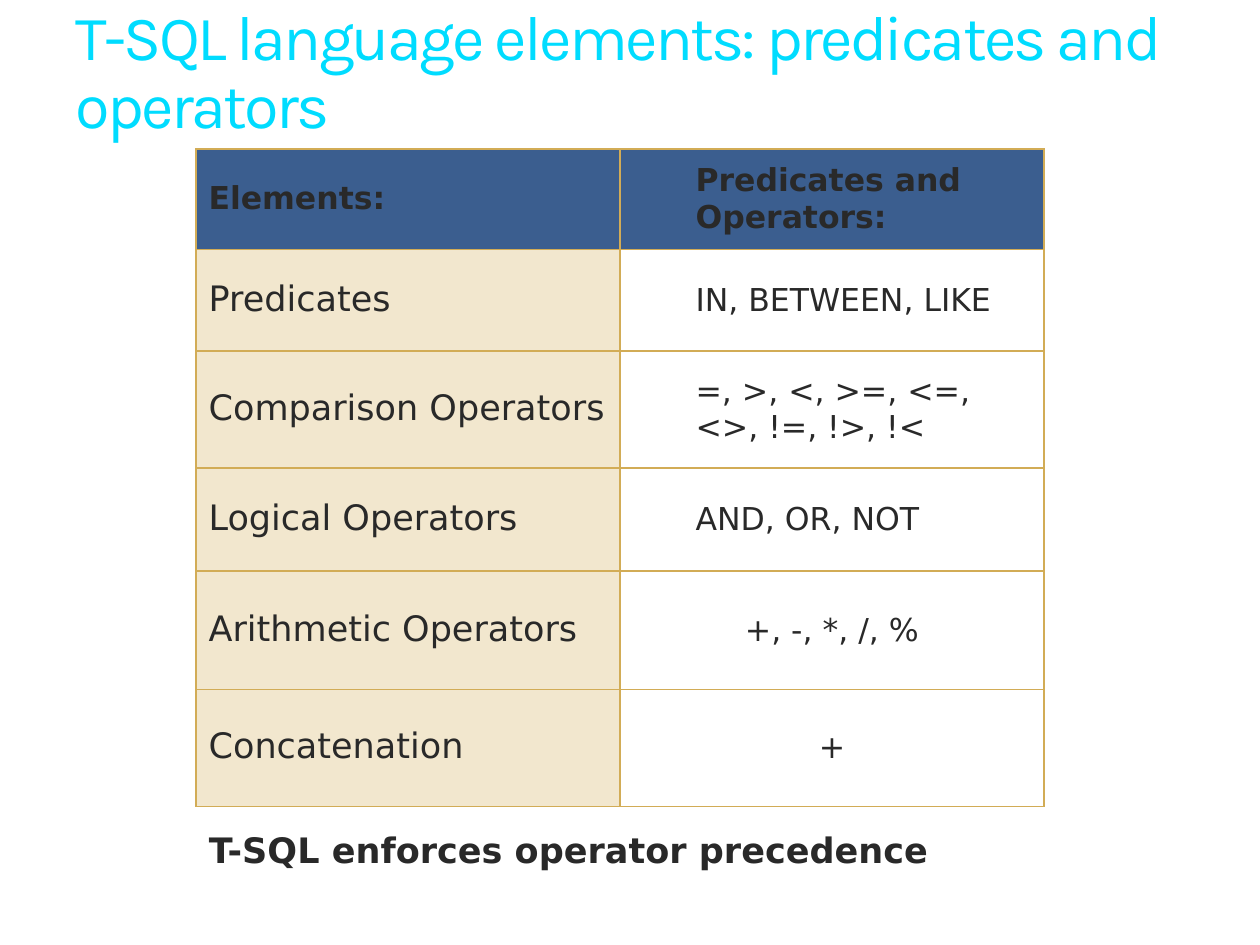
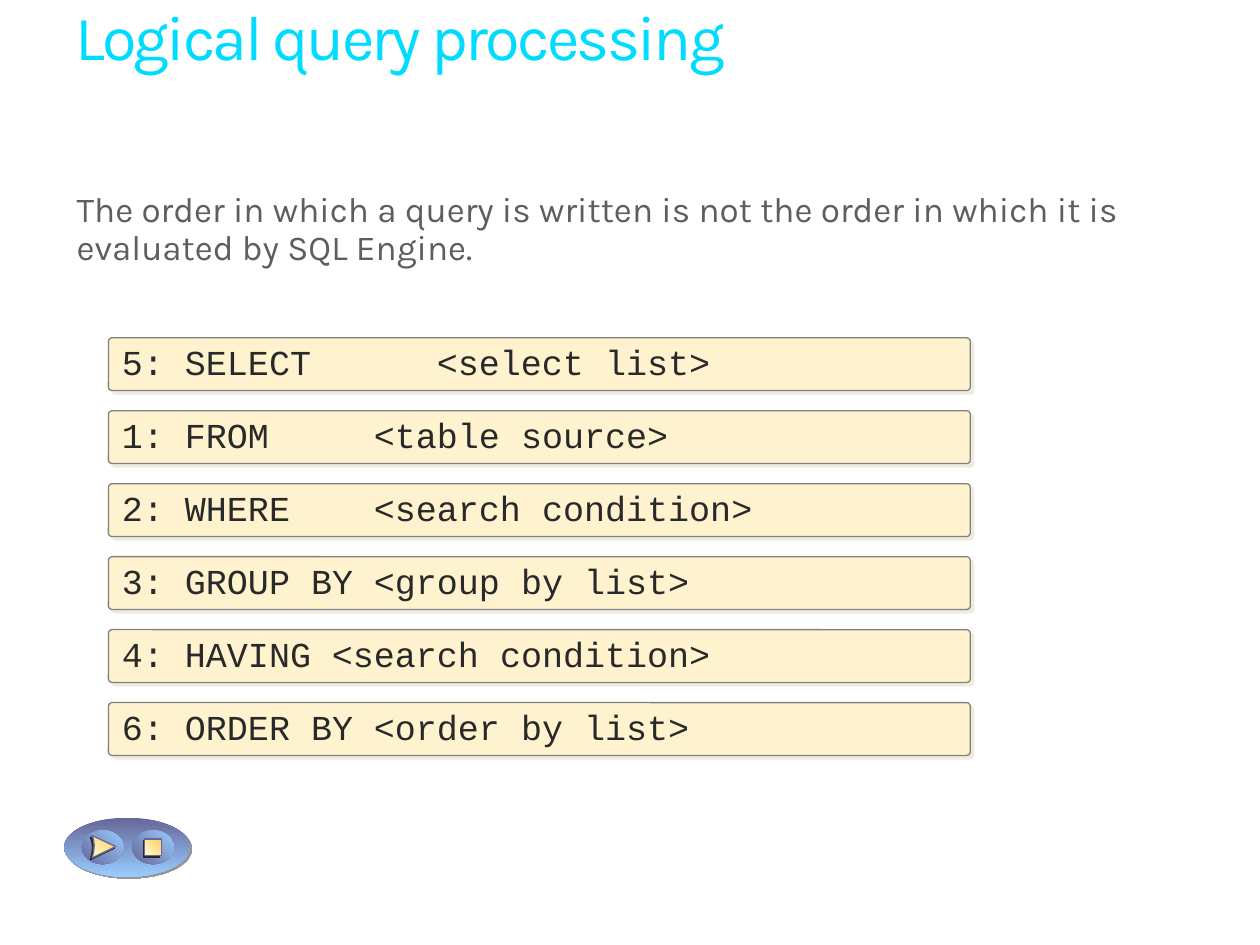
from lxml import etree
from pptx import Presentation
from pptx.dml.color import RGBColor
from pptx.enum.shapes import MSO_SHAPE
from pptx.enum.text import MSO_ANCHOR, PP_ALIGN
from pptx.oxml.ns import qn
from pptx.util import Pt

OVAL, RECT, ROUND = MSO_SHAPE.OVAL, MSO_SHAPE.RECTANGLE, MSO_SHAPE.ROUNDED_RECTANGLE
TOP, MIDDLE = MSO_ANCHOR.TOP, MSO_ANCHOR.MIDDLE
LEFT, CENTER = PP_ALIGN.LEFT, PP_ALIGN.CENTER

CYAN = RGBColor(0x00, 0xDC, 0xFF)
INK = RGBColor(0x29, 0x29, 0x29)
GREY = RGBColor(0x5E, 0x5E, 0x5E)
WHITE = RGBColor(0xFF, 0xFF, 0xFF)
NAVY = RGBColor(0x3B, 0x5E, 0x8F)
SAND = RGBColor(0xF2, 0xE7, 0xCE)
GOLD = RGBColor(0xD2, 0xAC, 0x56)
CREAM = RGBColor(0xFF, 0xF3, 0xCF)
EDGE = RGBColor(0x80, 0x80, 0x80)
HAZE = RGBColor(0xEE, 0xEC, 0xE1)
SHADE = RGBColor(0x96, 0x96, 0x96)
DUSK = RGBColor(0x66, 0x66, 0x99)
SKY = RGBColor(0x99, 0xCC, 0xFF)
PALE = RGBColor(0xFF, 0xFF, 0xCC)
AMBER = RGBColor(0xFF, 0xCC, 0x66)

HEAD, SANS, CODE = "Karla", "DejaVu Sans", "Courier New"


def add_color(node, color):
    fill = etree.SubElement(node, qn("a:solidFill"))
    etree.SubElement(fill, qn("a:srgbClr"), val=str(color))


def curve(a, b, c, d, steps=8):
    for i in range(1, steps + 1):
        t = i / steps
        u = 1 - t
        yield tuple(Pt(u**3 * p + 3 * u * u * t * q + 3 * u * t * t * r + t**3 * s)
                    for p, q, r, s in zip(a, b, c, d))


class Deck:
    def __init__(self):
        self.show = Presentation()
        self.show.slide_width = Pt(720)
        self.show.slide_height = Pt(540)
        self.slide = None

    def start(self, title, width, height):
        self.slide = self.show.slides.add_slide(self.show.slide_layouts[6])
        run = self.text(title, (36, 0, width, height), HEAD, 36, CYAN, space=0.9)
        run.font._element.set("spc", "-150")

    def add_run(self, frame, words, font, size, color, bold=False,
                space=1.0, align=LEFT):
        frame.word_wrap = True
        par = frame.paragraphs[0]
        par.alignment = align
        par.line_spacing = space
        run = par.add_run()
        run.text = words
        run.font.name = font
        run.font.size = Pt(size)
        run.font.bold = bold
        run.font.color.rgb = color
        return run

    def text(self, words, box, *style, **more):
        shape = self.slide.shapes.add_textbox(*map(Pt, box))
        shape.text_frame.vertical_anchor = TOP
        return self.add_run(shape.text_frame, words, *style, **more)

    def paint(self, shape, fill, line=None, shade=None):
        shape.shadow.inherit = False
        if isinstance(fill, tuple) and not isinstance(fill, RGBColor):
            first, last, angle = fill
            shape.fill.gradient()
            shape.fill.gradient_angle = angle
            for stop, color in zip(shape.fill.gradient_stops, (first, last)):
                stop.color.rgb = color
        else:
            shape.fill.solid()
            shape.fill.fore_color.rgb = fill
        if line is None:
            shape.line.fill.background()
        else:
            shape.line.color.rgb = line
            shape.line.width = Pt(0.75)
        if shade:
            color, dist, angle = shade
            root = shape.element.spPr.find(qn("a:effectLst"))
            drop = etree.SubElement(root, qn("a:outerShdw"), dist=str(Pt(dist)),
                                    dir=str(angle * 60000), algn="ctr", rotWithShape="0")
            etree.SubElement(drop, qn("a:srgbClr"), val=str(color))

    def shape(self, kind, box, fill, line=None, shade=None):
        shape = self.slide.shapes.add_shape(kind, *map(Pt, box))
        self.paint(shape, fill, line, shade)
        return shape

    def bar(self, step, target, tab, box):
        shape = self.shape(ROUND, box, CREAM, EDGE, (HAZE, 2.8, 45))
        shape.adjustments[0] = 0.07
        frame = shape.text_frame
        frame.vertical_anchor = MIDDLE
        self.add_run(frame, f"{step}\t{target}", CODE, 20, INK, space=0.9)
        props = frame.paragraphs[0]._p.get_or_add_pPr()
        tabs = etree.SubElement(props, qn("a:tabLst"))
        etree.SubElement(tabs, qn("a:tab"), pos=str(Pt(tab)), algn="l")

    def outline(self, start, points, fill, line, shade):
        form = self.slide.shapes.build_freeform(*map(Pt, start))
        form.add_line_segments(points, close=True)
        self.paint(form.convert_to_shape(), fill, line, shade)

    def cell(self, cell, words, fill, size, **more):
        cell.vertical_anchor = MIDDLE
        cell.margin_left = cell.margin_right = Pt(7.2)
        cell.margin_top = cell.margin_bottom = Pt(7.2)
        props = cell._tc.get_or_add_tcPr()
        for side in ("lnL", "lnR", "lnT", "lnB"):
            add_color(etree.SubElement(props, qn(f"a:{side}"), w=str(Pt(1))), GOLD)
        cell.fill.solid()
        cell.fill.fore_color.rgb = fill
        self.add_run(cell.text_frame, words, SANS, size, INK, **more)

    def table(self, rows, box, heights):
        table = self.slide.shapes.add_table(len(rows), 2, *map(Pt, box)).table
        table.horz_banding = False
        for col in table.columns:
            col.width = Pt(box[2] / 2)
        for i, (name, value, align) in enumerate(rows):
            table.rows[i].height = Pt(heights[i])
            top = i == 0
            self.cell(table.cell(i, 0), name, NAVY if top else SAND,
                      18 if top else 20, bold=top, space=0.9)
            right = table.cell(i, 1)
            self.cell(right, value, NAVY if top else WHITE, 18, bold=top, align=align)
            if align == LEFT:
                props = right.text_frame.paragraphs[0]._p.get_or_add_pPr()
                props.set("marL", str(Pt(36)))
                props.set("indent", "0")


def operators(deck):
    deck.start("T-SQL language elements: predicates and operators", 672, 77)
    rows = [
        ("Elements:", "Predicates and Operators:", LEFT),
        ("Predicates", "IN, BETWEEN, LIKE", LEFT),
        ("Comparison Operators", "=, >, <, >=, <=, <>, !=, !>, !<", LEFT),
        ("Logical Operators", "AND, OR, NOT", LEFT),
        ("Arithmetic Operators", "+, -, *, /, %", CENTER),
        ("Concatenation", "+", CENTER),
    ]
    deck.table(rows, (112, 85, 484.6, 366), (49, 58, 66.8, 59, 67.5, 67))
    deck.text("T-SQL enforces operator precedence", (112.3, 470, 486, 32),
              SANS, 20, INK, bold=True)


def order(deck):
    deck.start("Logical query processing", 612, 58)
    deck.text("The order in which a query is written is not the order in which "
              "it is evaluated by SQL Engine.", (36.7, 106.6, 610.6, 67),
              HEAD, 20, GREY, space=0.9)
    steps = [
        ("5: SELECT", "<select list>", 180),
        ("1: FROM", "<table source>", 144),
        ("2: WHERE", "<search condition>", 144),
        ("3: GROUP BY", "<group by list>", 144),
        ("4: HAVING", "<search condition>", 120),
        ("6: ORDER BY", "<order by list>", 144),
    ]
    for i, (step, target, tab) in enumerate(steps):
        deck.bar(step, target, tab, (62, 193 + 41.7 * i, 492.5, 30.2))

    glow, gem = (DUSK, SKY, 45), (PALE, AMBER, 45)
    dark = (INK, 1.4, 135)
    deck.shape(OVAL, (36.7, 467.3, 72, 33.8), (DUSK, SKY, 270), shade=(SHADE, 1.4, 45))
    for left in (46.8, 75.6):
        deck.shape(OVAL, (left, 474.5, 23.8, 19.4), glow)
    top, base, tip = (52.6, 477.4), (52.6, 490.3), (66.2, 483.8)
    points = [*curve(top, top, (55.4, 482.4), base), *curve(base, (59.8, 486.7), tip, tip)]
    deck.outline(top, points, gem, DUSK, dark)
    deck.shape(RECT, (82.8, 479.5, 9.4, 9.4), gem, DUSK, dark)


def main():
    deck = Deck()
    operators(deck)
    order(deck)
    deck.show.save("out.pptx")


if __name__ == "__main__":
    main()
